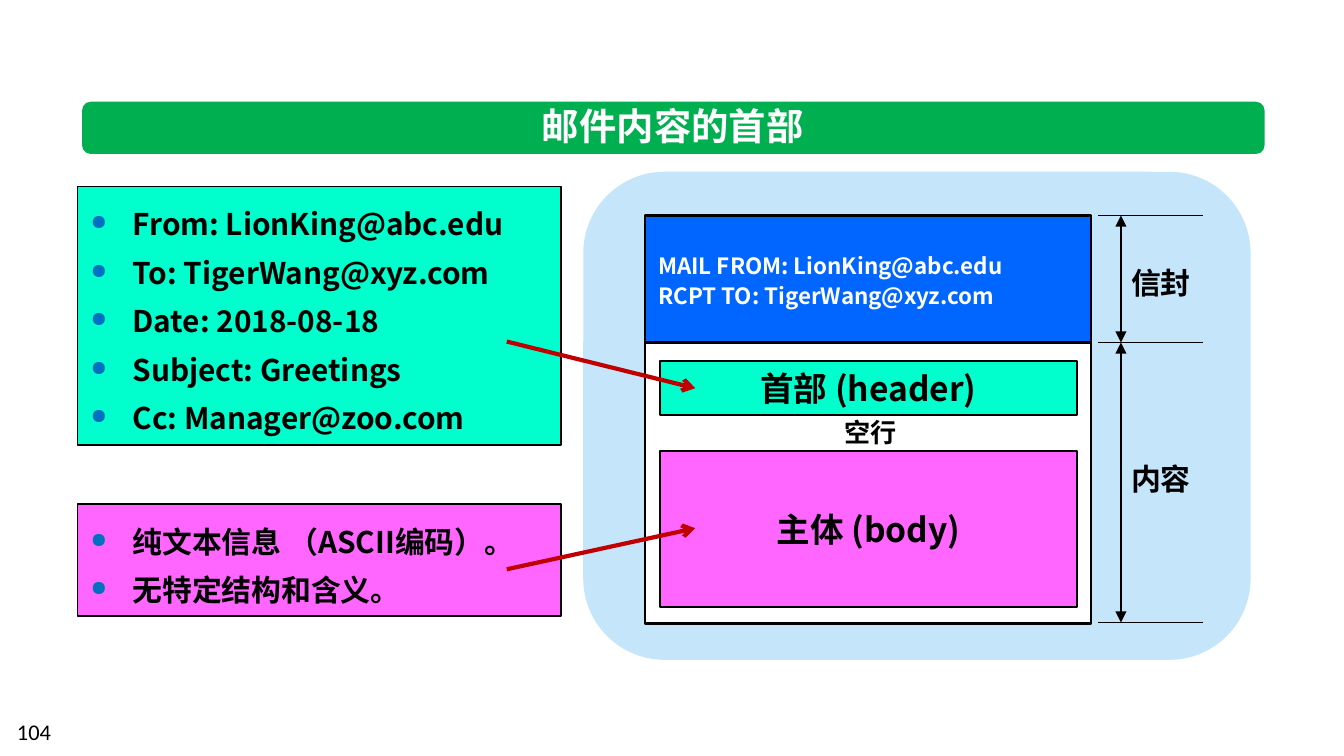
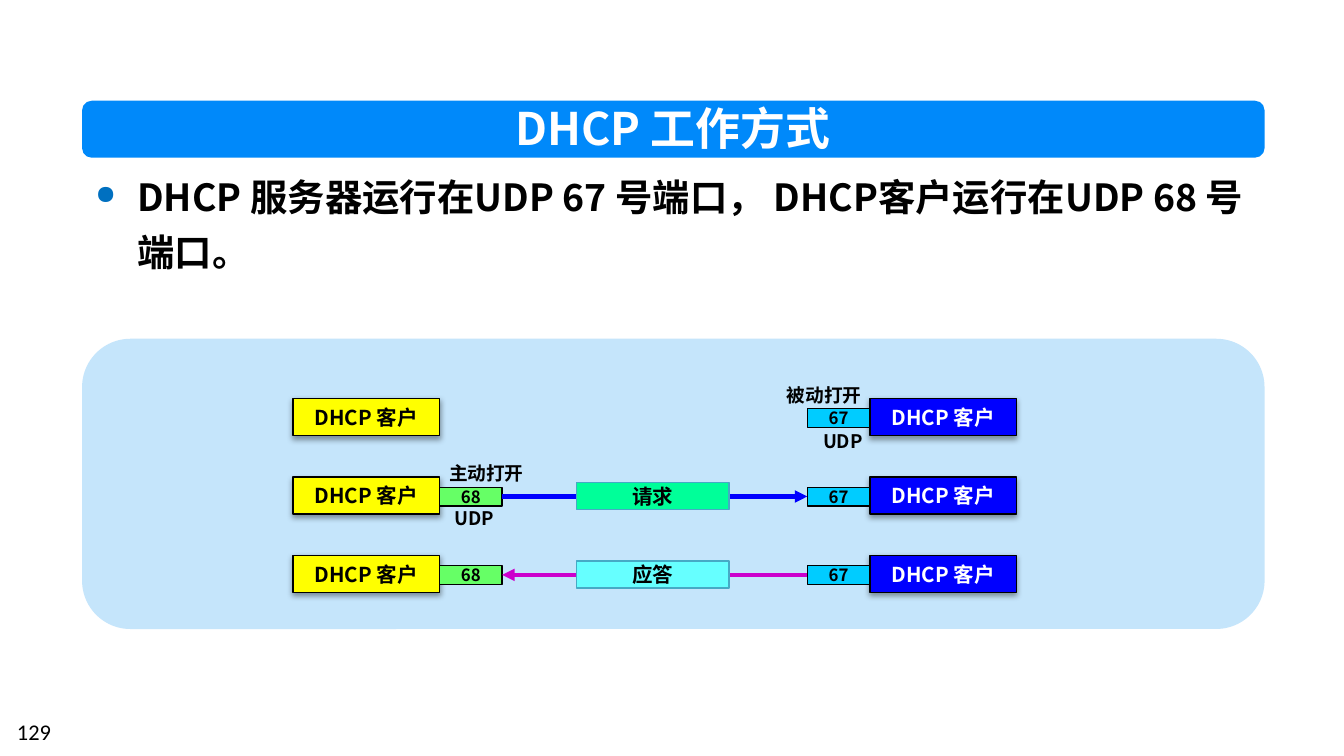
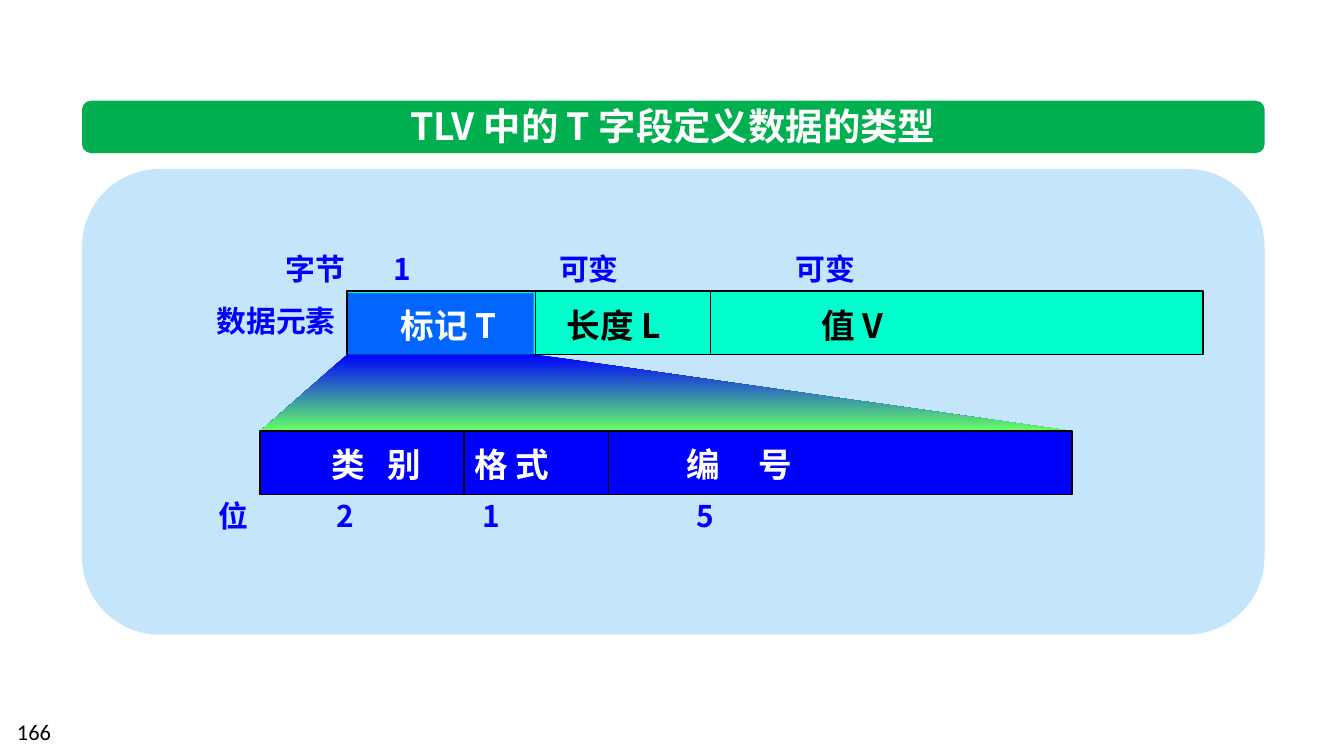
from lxml import etree
from pptx import Presentation
from pptx import util as u
from pptx.dml.color import RGBColor
from pptx.enum import shapes, text
from pptx.oxml import ns

Pt = u.Pt
SANS = "Noto Sans CJK SC"
HUE = {
    "black": "000000", "white": "FFFFFF", "pale": "C5E5FB", "green": "00B050",
    "sky": "0089FA", "mint": "00FFCC", "pink": "FF66FF", "azure": "0066FF",
    "blue": "0000FF", "dot": "0070C0", "red": "C00000", "yellow": "FFFF00",
    "cyan": "00CCFF", "lime": "66FF66", "jade": "00FF99", "aqua": "66FFFF",
    "teal": "46AAC5", "plum": "CC00CC",
}
RGB = {name: RGBColor.from_string(code) for name, code in HUE.items()}
RECT = shapes.MSO_SHAPE.RECTANGLE
ROUND = shapes.MSO_SHAPE.ROUNDED_RECTANGLE
LEFT, MID, RIGHT = text.PP_ALIGN.LEFT, text.PP_ALIGN.CENTER, text.PP_ALIGN.RIGHT
TOP, HALF = text.MSO_ANCHOR.TOP, text.MSO_ANCHOR.MIDDLE


def put(page, at, words="", item=None, form=None, fill=None, edge=None, thick=0.75,
        glow=False, size=16, hue="black", font=SANS, bold=True, align=LEFT,
        anchor=TOP, lead=None, dots=False, gap=0, pad=3.6):
    spot = [Pt(v) for v in at]
    if item is not None:
        item.left, item.top, item.width, item.height = spot
    elif form is None:
        item = page.shapes.add_textbox(*spot)
    else:
        item = page.shapes.add_shape(form, *spot)
        item.shadow.inherit = False
        item.fill.solid()
        item.fill.fore_color.rgb = RGB[fill]
        if edge:
            item.line.color.rgb = RGB[edge]
            item.line.width = Pt(thick)
        else:
            item.line.fill.background()
        if glow:
            shade = etree.SubElement(
                item.element.spPr.find(ns.qn("a:effectLst")), ns.qn("a:outerShdw"),
                blurRad=str(Pt(3.1)), dist=str(Pt(1.6)), dir="5400000", rotWithShape="0")
            tint = etree.SubElement(shade, ns.qn("a:srgbClr"), val=HUE["black"])
            etree.SubElement(tint, ns.qn("a:alpha"), val="38000")
    if not words:
        return item
    frame = item.text_frame
    frame.auto_size = text.MSO_AUTO_SIZE.NONE
    frame.word_wrap = True
    frame.vertical_anchor = anchor
    frame.margin_left = frame.margin_right = Pt(7.2)
    frame.margin_top = frame.margin_bottom = Pt(pad)
    for i, line in enumerate(words.split("\n")):
        para = frame.add_paragraph() if i else frame.paragraphs[0]
        para.alignment = align
        if dots:
            props = para._p.get_or_add_pPr()
            props.set("marL", str(Pt(22.5)))
            props.set("indent", str(-Pt(22.5)))
            tint = etree.SubElement(props, ns.qn("a:buClr"))
            etree.SubElement(tint, ns.qn("a:srgbClr"), val=HUE["dot"])
            etree.SubElement(props, ns.qn("a:buSzPct"), val="70000")
            etree.SubElement(props, ns.qn("a:buChar"), char="●")
        if lead:
            para.line_spacing = Pt(lead)
        run = para.add_run()
        run.text = line
        run.font.size = Pt(size)
        run.font.bold = bold
        run.font.color.rgb = RGB[hue]
        run.font.name = font
        props = run.font._element
        etree.SubElement(props, ns.qn("a:ea"), typeface=font)
        if gap:
            props.set("spc", str(gap * 100))
    return item


def link(page, x, y, to_x, to_y, hue="black", thick=1, head=None, tail=None):
    wire = page.shapes.add_connector(
        shapes.MSO_CONNECTOR.STRAIGHT, Pt(x), Pt(y), Pt(to_x), Pt(to_y))
    wire.line.color.rgb = RGB[hue]
    wire.line.width = Pt(thick)
    for name, kind in (("headEnd", head), ("tailEnd", tail)):
        if kind:
            etree.SubElement(wire.line._get_or_add_ln(), ns.qn("a:" + name), type=kind)
    etree.SubElement(wire.element.spPr, ns.qn("a:effectLst"))
    return wire


deck = Presentation()
deck.slide_width, deck.slide_height = Pt(720), Pt(405)

plan = [
    ("邮件内容的首部", "104", "green", 20, 200, 54.5, 28, (312.5, 92, 357.5, 261.5)),
    ("DHCP 工作方式", "129", "sky", 24, 230, 54, 30.5, (44, 181.5, 633.5, 155.5)),
    ("TLV 中的 T 字段定义数据的类型", "166", "green", 20, 360, 54, 28, (44, 90.5, 633.5, 249.5)),
]
pages = []
for name, num, hue, size, wide, top, high, panel in plan:
    page = deck.slides.add_slide(deck.slide_layouts[5])
    put(page, panel, form=ROUND, fill="pale")
    band = put(page, (44, top, 633.5, high), form=ROUND, fill=hue)
    title = page.shapes.title
    band.element.addnext(title.element)
    put(page, (360.5 - wide / 2, top - 3, wide, high + 4), name, item=title,
        size=size, hue="white", align=MID, anchor=HALF)
    put(page, (2, 381, 168, 21.5), num, size=12, font="Calibri", bold=False)
    pages.append(page)
mail, dhcp, tlv = pages

put(mail, (345.5, 183, 239, 151), form=RECT, fill="white", edge="black", thick=1.5)
for words, fill, top, high in [
    ("首部 (header)", "mint", 193.5, 29),
    ("主体 (body)", "pink", 241.5, 83.5),
]:
    put(mail, (353.5, top, 223.5, high), words, form=RECT, fill=fill, edge="black",
        thick=1, size=18, align=MID, anchor=HALF)
put(mail, (395.5, 219.5, 142, 24.5), "空行", size=14, align=MID)
put(mail, (345.5, 115.5, 239, 68), "MAIL FROM: LionKing@abc.edu\nRCPT TO: TigerWang@xyz.com",
    form=RECT, fill="azure", edge="black", thick=1.5, size=12, hue="white",
    anchor=HALF, lead=16)
for words, top in [("信封", 137), ("内容", 242)]:
    put(mail, (586, top, 59, 29), words, align=RIGHT, anchor=HALF)
marks = [115.5, 183.5, 333.5]
for y in marks:
    link(mail, 588.5, y, 644.5, y)
for y, end in zip(marks, marks[1:]):
    link(mail, 600.5, y, 600.5, end, head="triangle", tail="triangle")
for words, fill, top, high, y, end in [
    ("From: LionKing@abc.edu\nTo: TigerWang@xyz.com\nDate: 2018-08-18\n"
     "Subject: Greetings\nCc: Manager@zoo.com", "mint", 100, 138.5, 183, 208),
    ("纯文本信息 （ASCII编码）。\n无特定结构和含义。", "pink", 270, 60, 305, 283),
]:
    put(mail, (41.5, top, 259, high), words, form=RECT, fill=fill, edge="black",
        lead=26, dots=True)
    link(mail, 271.5, y, 372.5, end, hue="red", thick=2.25, tail="arrow")

put(dhcp, (44, 83.5, 633.5, 65),
    "DHCP 服务器运行在UDP 67 号端口， DHCP客户运行在UDP 68 号端口。",
    size=20, lead=30, dots=True)
ports = {}
for row in range(3):
    y = 213.5 + 42 * row
    for x, fill, hue in [(157, "yellow", "black"), (466, "blue", "white")]:
        put(dhcp, (x, y, 78.5, 20), "DHCP 客户", form=RECT, fill=fill, edge="black",
            glow=True, size=11, hue=hue, align=MID, anchor=HALF)
    for num, x, fill in [("67", 432.5, "cyan"), ("68", 235.5, "lime")]:
        if row or num == "67":
            ports[row, num] = put(
                dhcp, (x, y + 5.5, 33.5, 10), num, form=RECT, fill=fill, edge="black",
                size=9, align=MID, anchor=HALF, pad=0)
for row, words, fill, hue, start, end in [
    (1, "请求", "jade", "blue", ("68", 3), ("67", 1)),
    (2, "应答", "aqua", "plum", ("67", 1), ("68", 3)),
]:
    wire = link(dhcp, 0, 0, 0, 0, hue=hue, thick=2.25, tail="triangle")
    wire.begin_connect(ports[row, start[0]], start[1])
    wire.end_connect(ports[row, end[0]], end[1])
    put(dhcp, (309, 216.5 + 42 * row, 81.5, 14.5), words, form=RECT, fill=fill,
        edge="teal", size=11, align=MID, anchor=HALF, pad=0)
for words, x, y in [
    ("被动打开", 412, 201), ("UDP", 422, 226), ("主动打开", 231, 243), ("UDP", 224.5, 267),
]:
    put(dhcp, (x, y, 59, 21), words, size=10, align=MID, anchor=HALF)

path = tlv.shapes.build_freeform(Pt(139.5), Pt(231))
path.add_line_segments([(Pt(x), Pt(y)) for x, y in [(186, 190), (287, 190), (574.5, 231)]])
fan = path.convert_to_shape()
fan.shadow.inherit = False
fan.line.fill.background()
fan.fill.gradient()
fan.fill.gradient_angle = 270
for stop, hue in zip(fan.fill.gradient_stops, ("blue", "lime")):
    stop.color.rgb = RGB[hue]
for x, y, wide, fill, cuts in [
    (186, 156, 458.5, "mint", (287, 380.5)),
    (139.5, 231, 435, "blue", (248.5, 326)),
]:
    put(tlv, (x, y, wide, 34), form=RECT, fill=fill, edge="black", thick=1)
    for cut in cuts:
        link(tlv, cut, y, cut, y + 34, thick=0.75)
put(tlv, (186.5, 157, 99.5, 33), form=RECT, fill="azure")
for y, size, hue, cells in [
    (131, 16, "blue", [("字节", 146), ("1", 203.5), ("可变", 292.5), ("可变", 419)]),
    (160, 18, "black", [("长度 L", 296.5), ("值 V", 433)]),
    (160, 18, "white", [("标记 T", 207.5)]),
    (234.5, 18, "white", [("格 式", 247)]),
    (263, 16, "blue", [("位", 110), ("2", 173), ("1", 251.5), ("5", 366)]),
]:
    for words, x in cells:
        put(tlv, (x, y, 80, 28), words, size=size, hue=hue)
for words, x, gap in [("类别", 170.5, 12), ("编号", 360.5, 21)]:
    put(tlv, (x, 234.5, 100, 28), words, size=18, hue="white", gap=gap)
put(tlv, (96.5, 158.5, 103, 26.5), "数据元素", hue="blue", align=MID)

deck.save("out.pptx")
